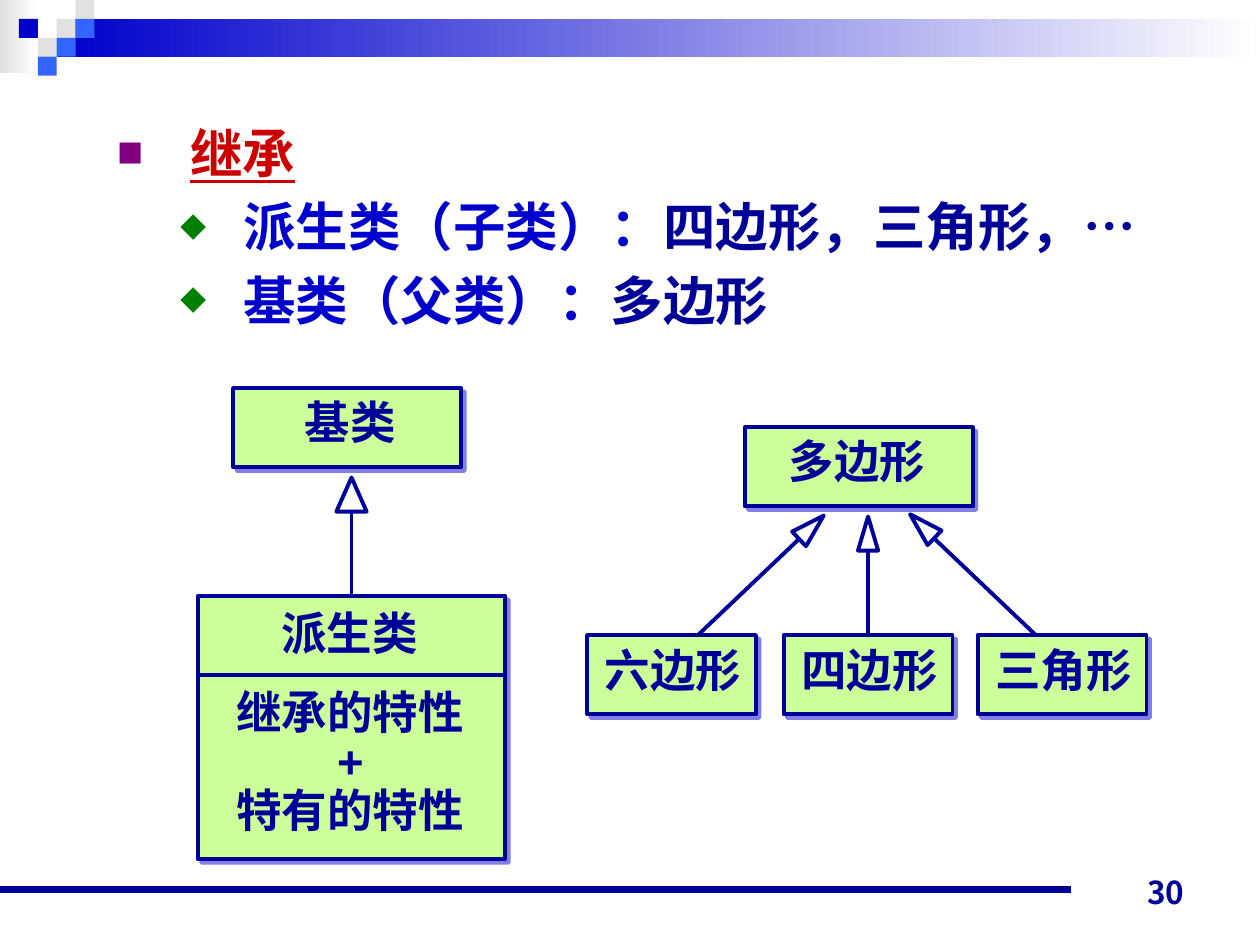
from dataclasses import dataclass
from math import atan2, degrees

from lxml.etree import SubElement
from pptx import Presentation
from pptx.dml.color import RGBColor
from pptx.enum.lang import MSO_LANGUAGE_ID as Lang
from pptx.enum.shapes import MSO_CONNECTOR, MSO_SHAPE as Shape
from pptx.enum.text import MSO_ANCHOR as Anchor, MSO_AUTO_SIZE as AutoSize, PP_ALIGN as Align
from pptx.oxml.ns import qn
from pptx.util import Inches, Pt


@dataclass(frozen=True)
class Theme:
    navy: str = "000099"
    blue: str = "0000CC"
    sky: str = "3366FF"
    gray: str = "E1E1E1"
    white: str = "FFFFFF"
    red: str = "CC0000"
    green: str = "CCFF99"
    purple_bullet: str = "800080"
    green_bullet: str = "008000"
    latin: str = "Arial"
    asian: str = "Noto Sans CJK JP"
    body_size: int = 30
    label_size: int = 26
    number_size: int = 18
    outline: float = 2.25


THEME = Theme()


def rgb(color):
    return RGBColor.from_string(color)


def add_span(para, text, size, color, latin=THEME.latin, underline=False):
    span = para.add_run()
    span.text = text
    font = span.font
    font.size, font.bold, font.underline = Pt(size), True, underline
    font.name = latin
    font.color.rgb = rgb(color)
    font.language_id = Lang.SIMPLIFIED_CHINESE
    SubElement(span._r.rPr, qn("a:ea"), typeface=THEME.asian)


def add_box(page, box, kind=Shape.RECTANGLE, fill=None, line=None):
    shape = page.shapes.add_shape(kind, *map(Inches, box))
    shape.shadow.inherit = False
    if fill:
        shape.fill.solid()
        shape.fill.fore_color.rgb = rgb(fill)
    else:
        shape.fill.background()
    if line:
        shape.line.color.rgb = rgb(line)
        shape.line.width = Pt(THEME.outline)
    else:
        shape.line.fill.background()
    return shape


def add_line(page, start, end, width=THEME.outline):
    line = page.shapes.add_connector(MSO_CONNECTOR.STRAIGHT, *map(Inches, (*start, *end)))
    line.line.color.rgb = rgb(THEME.navy)
    line.line.width = Pt(width)
    SubElement(line._element.spPr, qn("a:effectLst"))


def add_label(page, box, lines, spacing=None):
    frame = page.shapes.add_textbox(*map(Inches, box)).text_frame
    frame.word_wrap = False
    frame.auto_size = AutoSize.SHAPE_TO_FIT_TEXT
    for index, text in enumerate(lines):
        para = frame.add_paragraph() if index else frame.paragraphs[0]
        para.alignment = Align.CENTER
        para.line_spacing = spacing
        add_span(para, text, THEME.label_size, THEME.navy)


def add_class_box(page, box):
    """Green rectangle with a hard, half-transparent shadow."""
    shape = add_box(page, box, fill=THEME.green, line=THEME.navy)
    effects = shape._element.spPr.find(qn("a:effectLst"))
    shadow = SubElement(effects, qn("a:outerShdw"), blurRad="0", dist=str(Pt(2.8)),
                        dir="2700000", algn="ctr", rotWithShape="0")
    color = SubElement(shadow, qn("a:srgbClr"), val=THEME.blue)
    SubElement(color, qn("a:alpha"), val="50000")


def add_named_class(page, box, name, label_left, label_top):
    add_class_box(page, box)
    width = len(name) * THEME.label_size / 72 + 0.2
    add_label(page, (label_left, label_top, width, 0.53), [name])


def add_inheritance(page, child, neck, head_center, head_width):
    """Line from a child class to a hollow triangle that points at its parent."""
    height = 0.27
    left, top = head_center[0] - head_width / 2, head_center[1] - height / 2
    head = add_box(page, (left, top, head_width, height), Shape.ISOSCELES_TRIANGLE,
                   line=THEME.navy)
    head.rotation = degrees(atan2(head_center[0] - child[0], child[1] - head_center[1]))
    add_line(page, child, neck)


def add_banner(page, box):
    left, top, width, height = box
    cell = 0.15
    bars = [((left, top, 0.31, 0.58), THEME.gray),
            ((left + 0.45, top + cell, width - 0.45, 2 * cell), THEME.blue)]
    for bar, color in bars:
        fill = add_box(page, bar).fill
        fill.gradient()
        fill.gradient_angle = 0
        for stop, stop_color, position in zip(fill.gradient_stops, (color, THEME.white), (0, 1)):
            stop.color.rgb = rgb(stop_color)
            stop.position = position
    squares = [(3, 1, THEME.gray), (4, 0, THEME.gray), (4, 1, THEME.sky), (2, 2, THEME.gray),
               (1, 1, THEME.blue), (3, 2, THEME.sky), (2, 3, THEME.sky)]
    for column, row, color in squares:
        add_box(page, (left + column * cell, top + row * cell, cell, cell), fill=color)


def add_footer(page, box):
    left, top, width, height = box
    add_line(page, (left, top + 0.28), (left + 8.5, top + 0.28), 4.5)
    frame = page.shapes.add_textbox(
        *map(Inches, (left + width - 2.83, top, 2.33, height))).text_frame
    frame.word_wrap = True
    frame.vertical_anchor = Anchor.BOTTOM
    para = frame.paragraphs[0]
    para.alignment = Align.RIGHT
    add_span(para, "30", THEME.number_size, THEME.navy, THEME.asian)


def set_bullet(para, mark, color, margin, indent):
    props = para._p.get_or_add_pPr()
    props.set("marL", str(Inches(margin)))
    props.set("indent", str(Inches(indent)))
    bullet_color = SubElement(props, qn("a:buClr"))
    SubElement(bullet_color, qn("a:srgbClr"), val=color)
    SubElement(props, qn("a:buSzPct"), val="50000")
    SubElement(props, qn("a:buFont"), typeface=THEME.asian)
    SubElement(props, qn("a:buChar"), char=mark)


def fill_body(body, box):
    body.left, body.top, body.width, body.height = map(Inches, box)
    frame = body.text_frame
    frame.auto_size = AutoSize.NONE
    items = [
        (0, [("继承", THEME.red)]),
        (1, [("派生类（子类）：", THEME.blue), ("四边形，三角形，…", THEME.navy)]),
        (1, [("基类（父类）：", THEME.blue), ("多边形", THEME.navy)]),
    ]
    for index, (level, spans) in enumerate(items):
        para = frame.add_paragraph() if index else frame.paragraphs[0]
        para.level = level
        if level:
            set_bullet(para, "◆", THEME.green_bullet, 1.5, -0.5)
        else:
            set_bullet(para, "■", THEME.purple_bullet, 1.08, -0.58)
        para.space_before = Pt(THEME.body_size * 0.2 if index else 0)
        for text, color in spans:
            add_span(para, text, THEME.body_size, color, underline=level == 0)


def add_concept_diagram(page, box):
    left, top, width, height = box
    middle, child_top = left + width / 2, top + 1.65
    add_class_box(page, (left, child_top, width, height - 1.65))
    add_label(page, (left + 0.56, child_top + 0.02, 1.29, 0.53), ["派生类"])
    add_line(page, (left, child_top + 0.63), (left + width, child_top + 0.63))
    add_label(page, (left + 0.2, child_top + 0.7, 2.02, 1.27),
              ["继承的特性", "+", "特有的特性"], 0.9)
    add_named_class(page, (left + 0.28, top, 1.81, 0.63), "基类", left + 0.75, top)
    add_inheritance(page, (middle, child_top), (middle, top + 0.98), (middle, top + 0.845), 0.24)


def add_polygon_diagram(page, box):
    left, top, width, height = box
    child_top = top + height - 0.63
    add_named_class(page, (left + 1.25, top, 1.81, 0.63), "多边形", left + 1.5, top)
    # Child offset, line start, line end, arrowhead centre
    children = [
        ("六边形", 0, 0.88, (1.68, 0.89), (1.78, 0.795)),
        ("四边形", 1.56, 2.23, (2.23, 0.98), (2.23, 0.845)),
        ("三角形", 3.1, 3.56, (2.75, 0.88), (2.66, 0.785)),
    ]
    for name, offset, start, neck, head in children:
        add_named_class(page, (left + offset, child_top, 1.34, 0.63), name,
                        left + offset + 0.04, child_top + 0.01)
        add_inheritance(page, (left + start, child_top), (left + neck[0], top + neck[1]),
                        (left + head[0], top + head[1]), 0.16)


def main():
    deck = Presentation()
    deck.slide_width, deck.slide_height = Inches(10), Inches(7.5)
    page = deck.slides.add_slide(deck.slide_layouts.get_by_name("Title and Content"))
    title = page.shapes.title._element
    title.getparent().remove(title)
    add_banner(page, (0, 0, 10, 0.6))
    add_footer(page, (0, 6.78, 10, 0.5))
    fill_body(page.placeholders[1], (0.33, 0.91, 9.15, 2.05))
    add_concept_diagram(page, (1.57, 3.08, 2.44, 3.74))
    add_polygon_diagram(page, (4.66, 3.39, 4.44, 2.28))
    deck.save("out.pptx")


if __name__ == "__main__":
    main()
